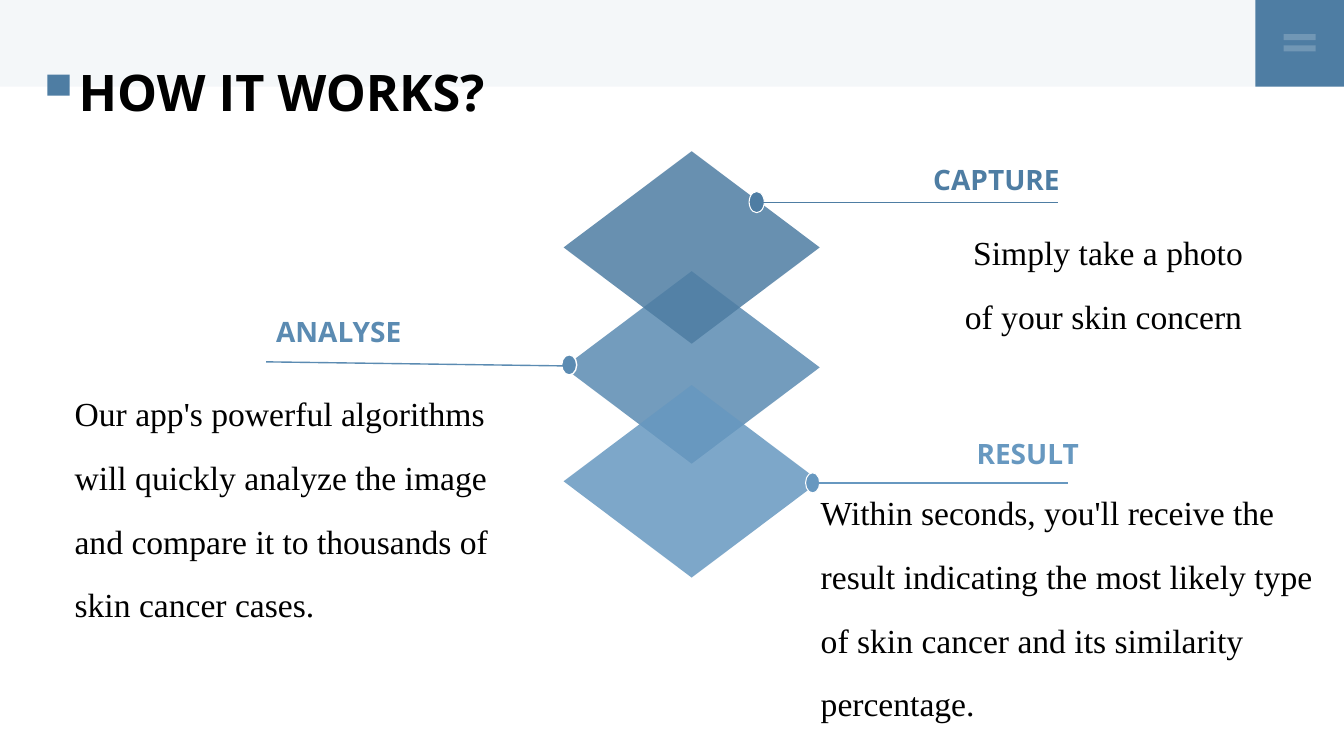
from dataclasses import dataclass
from typing import NamedTuple

from lxml.etree import SubElement
from pptx import Presentation
from pptx.dml.color import RGBColor
from pptx.enum.shapes import MSO_CONNECTOR as Connector
from pptx.enum.shapes import MSO_SHAPE as Preset
from pptx.enum.text import MSO_ANCHOR as Anchor
from pptx.enum.text import MSO_AUTO_SIZE as AutoSize
from pptx.enum.text import PP_ALIGN as Align
from pptx.oxml.ns import qn
from pptx.shapes.autoshape import Shape
from pptx.slide import Slide
from pptx.util import Emu, Pt

EMU_PER_PX = 9144


class Box(NamedTuple):
    left: int
    top: int
    width: int
    height: int


class Point(NamedTuple):
    x: int
    y: int


@dataclass(frozen=True)
class Theme:
    deep: str = "4E7DA3"
    middle: str = "5B8BB2"
    light: str = "6798C0"
    white: str = "FFFFFF"
    black: str = "000000"
    heading_font: str = "Open Sans"
    body_font: str = "Times New Roman"
    title_size: int = 36
    label_size: int = 20
    body_size: int = 24
    body_spacing: float = 1.58


@dataclass(frozen=True)
class Step:
    label: str
    detail: str
    colour: str
    diamond_top: int
    dot: Box
    dot_outline: float
    lead_start: Point
    lead_end: Point
    label_box: Box
    label_align: Align
    detail_box: Box


THEME = Theme()

STEPS = (
    Step("ANALYSE",
         "Our app's powerful algorithms will quickly analyze the image "
         "and compare it to thousands of skin cancer cases.",
         THEME.middle, 269, Box(557, 352, 15, 20), 1,
         Point(559, 363), Point(264, 359),
         Box(264, 307, 255, 44), Align.LEFT, Box(67, 363, 473, 263)),
    Step("CAPTURE", " Simply take a photo of your skin concern",
         THEME.deep, 150, Box(743, 190, 15, 21), 0.75,
         Point(1049, 201), Point(753, 201),
         Box(813, 156, 248, 44), Align.RIGHT, Box(950, 203, 317, 135)),
    Step("RESULT",
         "Within seconds, you'll receive the result indicating the most "
         "likely type of skin cancer and its similarity percentage.",
         THEME.light, 382, Box(799, 469, 14, 20), 0.75,
         Point(1059, 479), Point(807, 479),
         Box(832, 428, 248, 44), Align.RIGHT, Box(807, 461, 526, 263)),
)


def px(length: int) -> Emu:
    return Emu(length * EMU_PER_PX)


def place(box: Box) -> list[Emu]:
    return [px(length) for length in box]


def add_block(page: Slide, preset: Preset, box: Box, colour: str,
              opacity: int = 100, outline: float = 0) -> Shape:
    block = page.shapes.add_shape(preset, *place(box))
    block.shadow.inherit = False
    block.fill.solid()
    block.fill.fore_color.rgb = RGBColor.from_string(colour)
    if opacity < 100:
        tint = block.element.spPr.find(qn("a:solidFill"))[0]
        SubElement(tint, qn("a:alpha"), val=str(opacity * 1000))
    if outline:
        block.line.color.rgb = RGBColor.from_string(THEME.white)
        block.line.width = Pt(outline)
    else:
        block.line.fill.background()
    return block


def add_lead(page: Slide, start: Point, end: Point, colour: str) -> None:
    lead = page.shapes.add_connector(
        Connector.STRAIGHT, px(start.x), px(start.y), px(end.x), px(end.y))
    lead.line.color.rgb = RGBColor.from_string(colour)
    lead.line.width = Pt(1)
    SubElement(lead.element.spPr, qn("a:effectLst"))


def write_text(holder: Shape, text: str, *, font: str, size: int, colour: str,
               bold: bool = False, align: Align = Align.LEFT,
               spacing: float = 1.0, inset: Point = Point(10, 5)) -> None:
    frame = holder.text_frame
    frame.word_wrap = True
    frame.auto_size = AutoSize.NONE
    frame.vertical_anchor = Anchor.TOP
    frame.margin_left = frame.margin_right = px(inset.x)
    frame.margin_top = frame.margin_bottom = px(inset.y)
    para = frame.paragraphs[0]
    para.alignment = align
    para.line_spacing = spacing
    span = para.add_run()
    span.text = text
    span.font.name = font
    span.font.size = Pt(size)
    span.font.bold = bold
    span.font.color.rgb = RGBColor.from_string(colour)


def draw_header(page: Slide) -> None:
    band = add_block(page, Preset.RECTANGLE, Box(0, 0, 1333, 86), THEME.deep, 6)
    title = page.shapes.title
    title.left, title.top, title.width, title.height = place(Box(68, 56, 1090, 71))
    write_text(title, "HOW IT WORKS?", font=THEME.heading_font,
               size=THEME.title_size, colour=THEME.black, bold=True)
    band.element.addnext(title.element)
    add_block(page, Preset.RECTANGLE, Box(47, 74, 22, 21), THEME.deep)
    add_block(page, Preset.RECTANGLE, Box(1245, 0, 88, 86), THEME.deep)
    for bar_top in (34, 45):
        add_block(page, Preset.RECTANGLE, Box(1273, bar_top, 32, 6),
                  THEME.white, 20)


def draw_step(page: Slide, step: Step) -> None:
    add_block(page, Preset.OVAL, step.dot, step.colour, outline=step.dot_outline)
    add_lead(page, step.lead_start, step.lead_end, step.colour)
    write_text(page.shapes.add_textbox(*place(step.label_box)), step.label,
               font=THEME.heading_font, size=THEME.label_size,
               colour=step.colour, bold=True, align=step.label_align)
    write_text(page.shapes.add_textbox(*place(step.detail_box)), step.detail,
               font=THEME.body_font, size=THEME.body_size, colour=THEME.black,
               spacing=THEME.body_spacing, inset=Point(7, 4))


def main() -> None:
    deck = Presentation()
    deck.slide_width, deck.slide_height = px(1333), px(750)
    page = deck.slides.add_slide(deck.slide_layouts[5])
    draw_header(page)
    for step in STEPS:
        add_block(page, Preset.DIAMOND, Box(559, step.diamond_top, 254, 191),
                  step.colour, 85)
    for step in STEPS:
        draw_step(page, step)
    deck.save("out.pptx")


if __name__ == "__main__":
    main()
